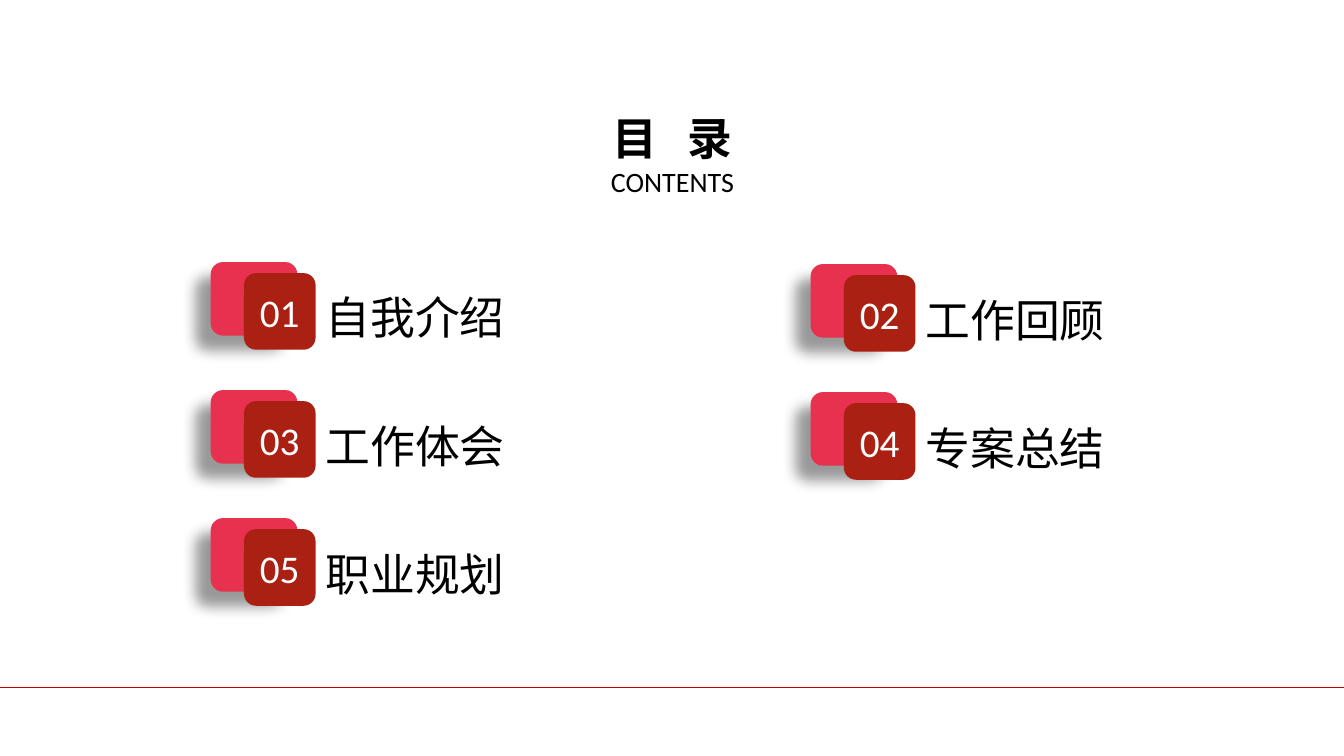
from lxml import etree
from pptx import Presentation
from pptx.dml.color import RGBColor
from pptx.enum.shapes import MSO_CONNECTOR, MSO_SHAPE
from pptx.enum.text import MSO_ANCHOR, MSO_AUTO_SIZE, PP_ALIGN
from pptx.oxml import parse_xml
from pptx.oxml.ns import qn
from pptx.util import Emu, Pt

PX = 9144  # 100 px to the inch
WIDE, HIGH = 1333, 750
LINE = MSO_CONNECTOR.STRAIGHT
ROUND = MSO_SHAPE.ROUNDED_RECTANGLE
MIDDLE = MSO_ANCHOR.MIDDLE
GROW = MSO_AUTO_SIZE.SHAPE_TO_FIT_TEXT
LEFT, CENTER = PP_ALIGN.LEFT, PP_ALIGN.CENTER

COLORS = {"black": "000000", "white": "FFFFFF", "pink": "E8304F",
          "red": "AA2012", "rule": "C00000"}
HAN, LATIN = "Noto Sans CJK SC", "Calibri"
TOPICS = ["自我介绍", "工作回顾", "工作体会", "专案总结", "职业规划"]
COLS = 2
LEFT_X, TOP_Y = 209, 260
COL_STEP, ROW_STEP, COL_DROP = 595, 127, 2

SHADOW = (
    '<a:effectLst xmlns:a="http://schemas.openxmlformats.org/drawingml/2006/main">'
    '<a:outerShdw blurRad="127000" dist="190500" dir="8100000" algn="tr" rotWithShape="0">'
    '<a:srgbClr val="000000"><a:alpha val="40000"/></a:srgbClr>'
    '</a:outerShdw></a:effectLst>')


def px(*sizes):
    return [Emu(size * PX) for size in sizes]


def color(name):
    return RGBColor.from_string(COLORS[name])


def style(para, face, size, ink, align, bold=False):
    font = para.font
    font.name, font.size, font.bold = face, Pt(size), bold
    font.color.rgb = color(ink)
    para.alignment = align
    for run in para.runs:
        east = etree.SubElement(run._r.get_or_add_rPr(), qn("a:ea"))
        east.set("typeface", face)


def add_text(slide, box, wrap):
    frame = slide.shapes.add_textbox(*px(*box)).text_frame
    frame.word_wrap = wrap
    frame.auto_size = GROW
    return frame


def add_title(slide):
    frame = add_text(slide, (582, 105, 170, 98), True)
    head = frame.paragraphs[0]
    first, last = head.add_run(), head.add_run()
    first.text, last.text = "目 ", "录"
    first._r.get_or_add_rPr().set("spc", "720")
    style(head, HAN, 32, "black", CENTER, True)
    sub = frame.add_paragraph()
    sub.text = "CONTENTS"
    style(sub, LATIN, 20, "black", CENTER)


def add_tile(group, box, fill):
    tile = group.shapes.add_shape(ROUND, *px(*box))
    tile.shadow.inherit = False
    tile.fill.solid()
    tile.fill.fore_color.rgb = color(fill)
    tile.line.fill.background()
    return tile


def add_badge(slide, x, y, num):
    """Add a numbered tile over a shadowed one, as a group."""
    group = slide.shapes.add_group_shape()
    back = add_tile(group, (x, y, 86, 73), "pink")
    props = back._element.spPr
    props.replace(props.find(qn("a:effectLst")), parse_xml(SHADOW))
    front = add_tile(group, (x + 33, y + 11, 71, 76), "red")
    frame = front.text_frame
    frame.vertical_anchor = MIDDLE
    para = frame.paragraphs[0]
    para.text = f"{num:02d}"
    style(para, LATIN, 28, "white", CENTER)


def add_topic(slide, index, name):
    row, col = divmod(index, COLS)
    x = LEFT_X + col * COL_STEP
    y = TOP_Y + row * ROW_STEP + col * COL_DROP
    add_badge(slide, x, y, index + 1)
    para = add_text(slide, (x + 104, y + 23, 200, 64), False).paragraphs[0]
    para.text = name
    style(para, HAN, 32, "black", LEFT)


def add_rule(slide, y):
    rule = slide.shapes.add_connector(LINE, *px(0, y, WIDE, y))
    rule.line.color.rgb = color("rule")
    rule.line.width = Pt(0.5)
    etree.SubElement(rule._element.spPr, qn("a:effectLst"))


def main():
    deck = Presentation()
    deck.slide_width, deck.slide_height = px(WIDE, HIGH)
    slide = deck.slides.add_slide(deck.slide_layouts[6])
    add_rule(slide, 682)
    add_title(slide)
    for index, name in enumerate(TOPICS):
        add_topic(slide, index, name)
    deck.save("out.pptx")


if __name__ == "__main__":
    main()
